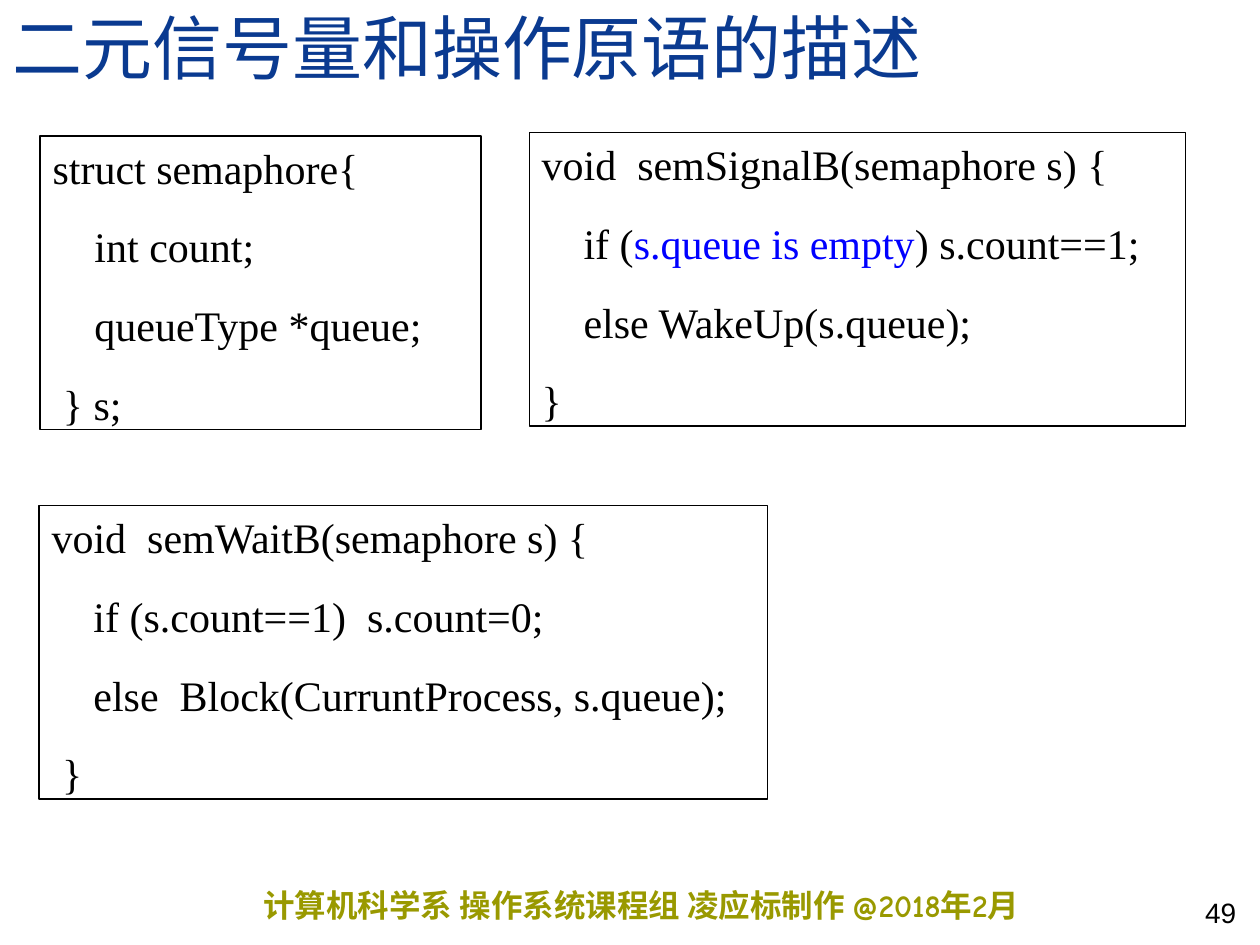
from dataclasses import dataclass

from pptx import Presentation
from pptx import util as u
from pptx.dml.color import RGBColor
from pptx.enum import shapes, text


@dataclass(frozen=True)
class Theme:
    navy: str = "0A3A90"
    olive: str = "999900"
    black: str = "000000"
    blue: str = "0000FF"
    serif: str = "Times New Roman"
    sans: str = "Arial"
    comic: str = "Comic Neue"
    head: int = 40
    code: int = 24
    foot: int = 18
    page: int = 16
    gap: float = 16.2


@dataclass(frozen=True)
class Box:
    left: float
    top: float
    width: float
    height: float

    def place(self) -> tuple:
        return tuple(map(u.Cm, (self.left, self.top, self.width, self.height)))


@dataclass(frozen=True)
class Code:
    box: Box
    lines: tuple
    mark: str = ""  # words shown in blue


T = Theme()
HIGH = 5.92

CODES = (
    Code(Box(0.81, 2.74, 8.89, HIGH),
         ("struct semaphore{", "    int count;", "    queueType *queue;", " } s;")),
    Code(Box(0.79, 10.19, 14.68, HIGH),
         ("void  semWaitB(semaphore s) {", "    if (s.count==1)  s.count=0;",
          "    else  Block(CurruntProcess, s.queue);", " }")),
    Code(Box(10.67, 2.67, 13.23, HIGH),
         ("void  semSignalB(semaphore s) {",
          "    if (s.queue is empty) s.count==1;",
          "    else WakeUp(s.queue);", "}"),
         "s.queue is empty"),
)


def style(run, face: str, size: int, color: str, bold: bool = False) -> None:
    run.font.name = face
    run.font.size = u.Pt(size)
    run.font.bold = bold
    run.font.color.rgb = RGBColor.from_string(color)


def split(line: str, mark: str) -> list:
    """Cut a line into the parts before, in and after the mark."""
    if not mark or mark not in line:
        return [line]
    return [part for part in line.partition(mark) if part]


def draw_code(slide, code: Code) -> None:
    rect = slide.shapes.add_shape(shapes.MSO_SHAPE.RECTANGLE, *code.box.place())
    rect.shadow.inherit = False
    rect.fill.background()
    rect.line.color.rgb = RGBColor.from_string(T.black)
    rect.line.width = u.Pt(0.75)
    frame = rect.text_frame
    frame.word_wrap = True
    frame.vertical_anchor = text.MSO_ANCHOR.TOP
    for i, line in enumerate(code.lines):
        para = frame.add_paragraph() if i else frame.paragraphs[0]
        para.alignment = text.PP_ALIGN.LEFT
        if i:
            para.space_before = u.Pt(T.gap)
        for part in split(line, code.mark):
            run = para.add_run()
            run.text = part
            style(run, T.serif, T.code, T.blue if part == code.mark else T.black)


def draw_note(slide, box: Box, words: str, inset: float):
    note = slide.shapes.add_textbox(*box.place())
    frame = note.text_frame
    frame.word_wrap = True
    frame.margin_left = frame.margin_right = u.Cm(inset)
    frame.text = words
    return frame


def draw_title(slide, words: str) -> None:
    title = slide.shapes.title
    title.left, title.top, title.width, title.height = Box(0, 0, 25.4, 1.9).place()
    frame = title.text_frame
    frame.text = words
    frame.auto_size = text.MSO_AUTO_SIZE.NONE
    frame.vertical_anchor = text.MSO_ANCHOR.BOTTOM
    para = frame.paragraphs[0]
    para.alignment = text.PP_ALIGN.LEFT
    para.line_spacing = 0.8
    style(para.runs[0], T.serif, T.head, T.navy)


def main() -> None:
    deck = Presentation()
    deck.slide_width, deck.slide_height = u.Cm(25.4), u.Cm(19.05)
    slide = deck.slides.add_slide(deck.slide_layouts[5])

    # Heading and code boxes
    draw_title(slide, "二元信号量和操作原语的描述")
    for code in CODES:
        draw_code(slide, code)

    # Footer and page number
    foot = draw_note(slide, Box(5.31, 17.73, 18.59, 1.02),
                     "计算机科学系 操作系统课程组 凌应标制作 @2018年2月", 0)
    style(foot.paragraphs[0].runs[0], T.comic, T.foot, T.olive, True)
    page = draw_note(slide, Box(21.16, 17.58, 4.01, 1.27), "49", 0.25)
    page.vertical_anchor = text.MSO_ANCHOR.BOTTOM
    page.paragraphs[0].alignment = text.PP_ALIGN.RIGHT
    style(page.paragraphs[0].runs[0], T.sans, T.page, T.black)

    deck.save("out.pptx")


if __name__ == "__main__":
    main()
